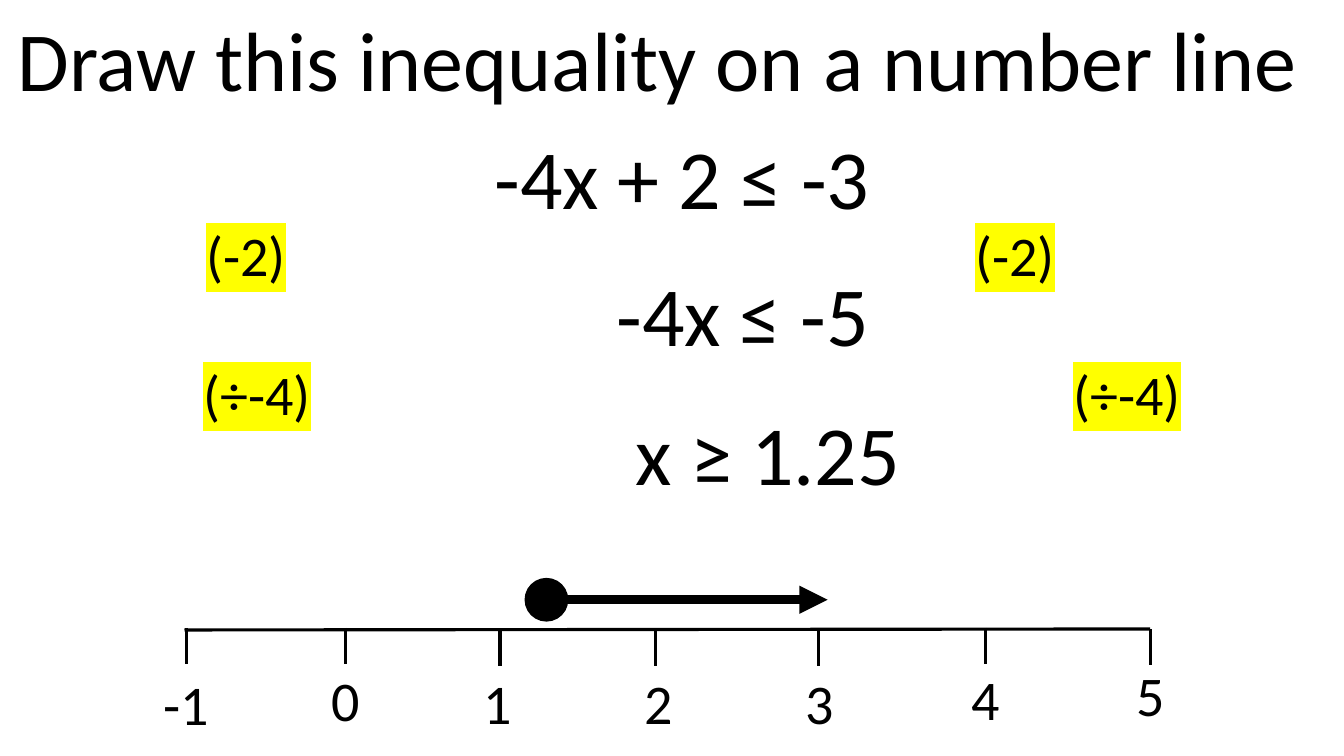
from dataclasses import dataclass

from lxml.etree import SubElement
from pptx import Presentation
from pptx.dml.color import RGBColor
from pptx.enum.shapes import MSO_CONNECTOR as Connector, MSO_SHAPE as Preset
from pptx.enum.text import MSO_ANCHOR as Anchor, PP_ALIGN as Align
from pptx.oxml.ns import qn
from pptx.slide import Slide
from pptx.util import Emu, Inches, Pt

SLIDE_WIDTH, SLIDE_HEIGHT = Inches(13.333), Inches(7.5)


@dataclass(frozen=True)
class Theme:
    font: str = "Calibri"
    ink: str = "000000"
    marker: str = "FFFF00"
    large: float = 60
    small: float = 40
    outline: float = 1
    thin: float = 2.25
    thick: float = 6.75
    tight: float = 0.9


THEME = Theme()


# All places and sizes below are percentages of the slide's width and height.
@dataclass(frozen=True)
class Area:
    left: float
    top: float
    width: float
    height: float


@dataclass(frozen=True)
class Equation:
    text: str
    left: float
    top: float
    indent: float


@dataclass(frozen=True)
class Operation:
    text: str
    left: float
    top: float
    second_at: float


@dataclass(frozen=True)
class Tick:
    number: int
    x: float
    top: float
    label_left: float
    label_top: float


TITLE = Area(-2.25, 1.87, 102.3, 13.47)
EQUATIONS = (
    Equation("-4x + 2 ≤ -3", 12.53, 16.4, 1.41),
    Equation("-4x ≤ -5", 16.35, 34.53, 2.82),
    Equation("x ≥ 1.25", 18.9, 52.93, 1.41),
)
OPERATIONS = (
    Operation("(-2)", 14.62, 28.53, 57.22),
    Operation("(÷-4)", 14.4, 46.93, 64.72),
)
TICKS = (
    Tick(-1, 13.88, 83.07, 11.4, 87.87),
    Tick(0, 25.72, 83.07, 23.93, 87.33),
    Tick(1, 37.2, 83.33, 35.25, 87.73),
    Tick(2, 48.75, 83.33, 47.25, 87.73),
    Tick(3, 60.9, 83.33, 59.18, 87.73),
    Tick(4, 73.35, 83.07, 71.55, 87.2),
    Tick(5, 85.58, 83.2, 83.85, 86.67),
)
TICK_LENGTH = 4.8
AXIS = ((13.73, 83.33), (85.58, 83.2))
ARROW = ((41.03, 79.33), (61.58, 79.33))
DOT = Area(39.08, 76.53, 3.15, 5.6)


def across(share: float) -> Emu:
    return Emu(round(SLIDE_WIDTH * share / 100))


def down(share: float) -> Emu:
    return Emu(round(SLIDE_HEIGHT * share / 100))


def place(area: Area) -> tuple[Emu, Emu, Emu, Emu]:
    return across(area.left), down(area.top), across(area.width), down(area.height)


def add_text(page: Slide, area: Area, text: str, size: float,
             frame_format: dict | None = None, para_format: dict | None = None):
    """Add a one-paragraph text box and return the paragraph."""
    frame = page.shapes.add_textbox(*place(area)).text_frame
    para = frame.paragraphs[0]
    for target, values in ((frame, {"word_wrap": True} | (frame_format or {})),
                           (para, para_format or {})):
        for name, value in values.items():
            setattr(target, name, value)
    add_span(para, text, size)
    return para


def add_span(para, text: str, size: float):
    span = para.add_run()
    span.text = text
    for name, value in {"size": Pt(size), "name": THEME.font}.items():
        setattr(span.font, name, value)
    span.font.color.rgb = RGBColor.from_string(THEME.ink)
    return span


def highlight(span) -> None:
    properties = span._r.get_or_add_rPr()
    mark = SubElement(properties, qn("a:highlight"))
    SubElement(mark, qn("a:srgbClr"), val=THEME.marker)
    properties.find(qn("a:latin")).addprevious(mark)


def add_equation(page: Slide, equation: Equation) -> None:
    add_text(page, Area(equation.left, equation.top, 75, 14.4), equation.text, THEME.large,
             {"vertical_anchor": Anchor.BOTTOM,
              "margin_left": Inches(0.1) + across(equation.indent)},
             {"alignment": Align.CENTER, "line_spacing": THEME.tight})


def add_operation(page: Slide, operation: Operation) -> None:
    """Write the same highlighted step at the left and at a tab stop."""
    area = Area(operation.left, operation.top, 75, 10.4)
    para = add_text(page, area, operation.text, THEME.small)
    tabs = SubElement(para._p.get_or_add_pPr(), qn("a:tabLst"))
    SubElement(tabs, qn("a:tab"), pos=str(across(operation.second_at)), algn="l")
    add_span(para, "\t", THEME.small)
    add_span(para, operation.text, THEME.small)
    first, _, second = para.runs
    highlight(first)
    highlight(second)


def add_line(page: Slide, start: tuple[float, float], end: tuple[float, float],
             weight: float, arrowhead: bool = False) -> None:
    line = page.shapes.add_connector(Connector.STRAIGHT, across(start[0]), down(start[1]),
                                     across(end[0]), down(end[1]))
    line.line.color.rgb = RGBColor.from_string(THEME.ink)
    line.line.width = Pt(weight)
    if arrowhead:
        SubElement(line.line._get_or_add_ln(), qn("a:tailEnd"), type="triangle")
    SubElement(line._element.spPr, qn("a:effectLst"))


def add_tick(page: Slide, tick: Tick) -> None:
    add_line(page, (tick.x, tick.top), (tick.x, tick.top + TICK_LENGTH), THEME.thin)
    add_text(page, Area(tick.label_left, tick.label_top, 5.4, 10.27),
             str(tick.number), THEME.small)


def add_dot(page: Slide) -> None:
    dot = page.shapes.add_shape(Preset.OVAL, *place(DOT))
    dot.shadow.inherit = False
    dot.fill.solid()
    for color in (dot.fill.fore_color, dot.line.color):
        color.rgb = RGBColor.from_string(THEME.ink)
    dot.line.width = Pt(THEME.outline)


def main() -> None:
    deck = Presentation()
    deck.slide_width, deck.slide_height = SLIDE_WIDTH, SLIDE_HEIGHT
    page = deck.slides.add_slide(deck.slide_layouts[6])

    add_text(page, TITLE, "Draw this inequality on a number line", THEME.large,
             para_format={"alignment": Align.CENTER, "line_spacing": THEME.tight})
    for equation in EQUATIONS:
        add_equation(page, equation)
    for operation in OPERATIONS:
        add_operation(page, operation)

    add_line(page, *AXIS, THEME.thin)
    for tick in TICKS:
        add_tick(page, tick)
    add_dot(page)
    add_line(page, *ARROW, THEME.thick, arrowhead=True)

    deck.save("out.pptx")


if __name__ == "__main__":
    main()
